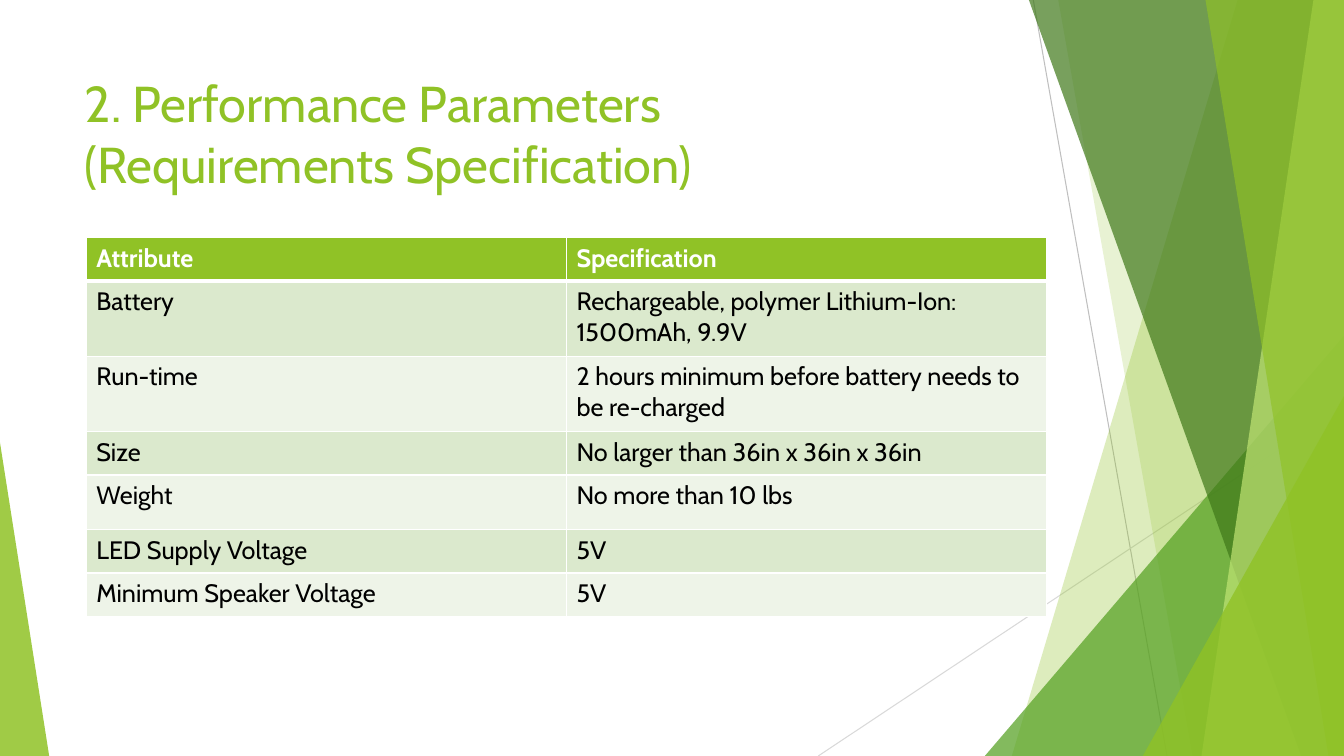
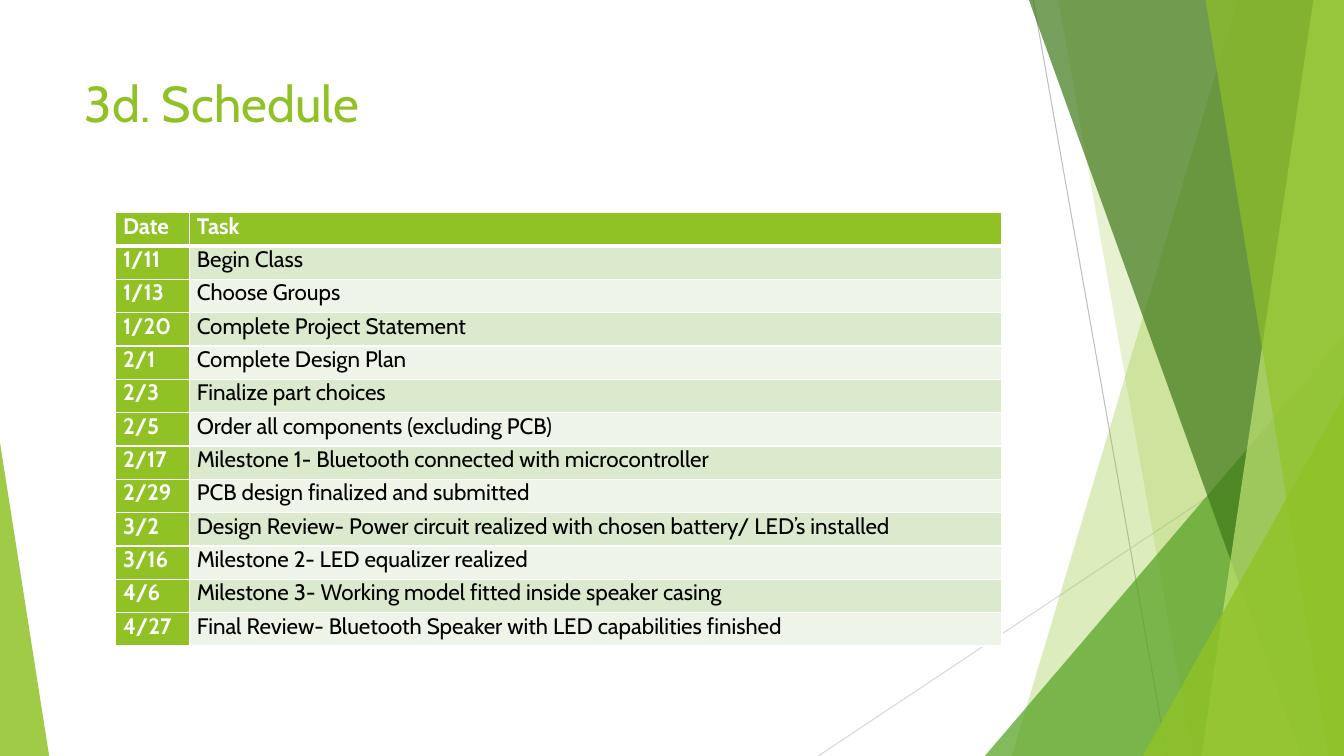
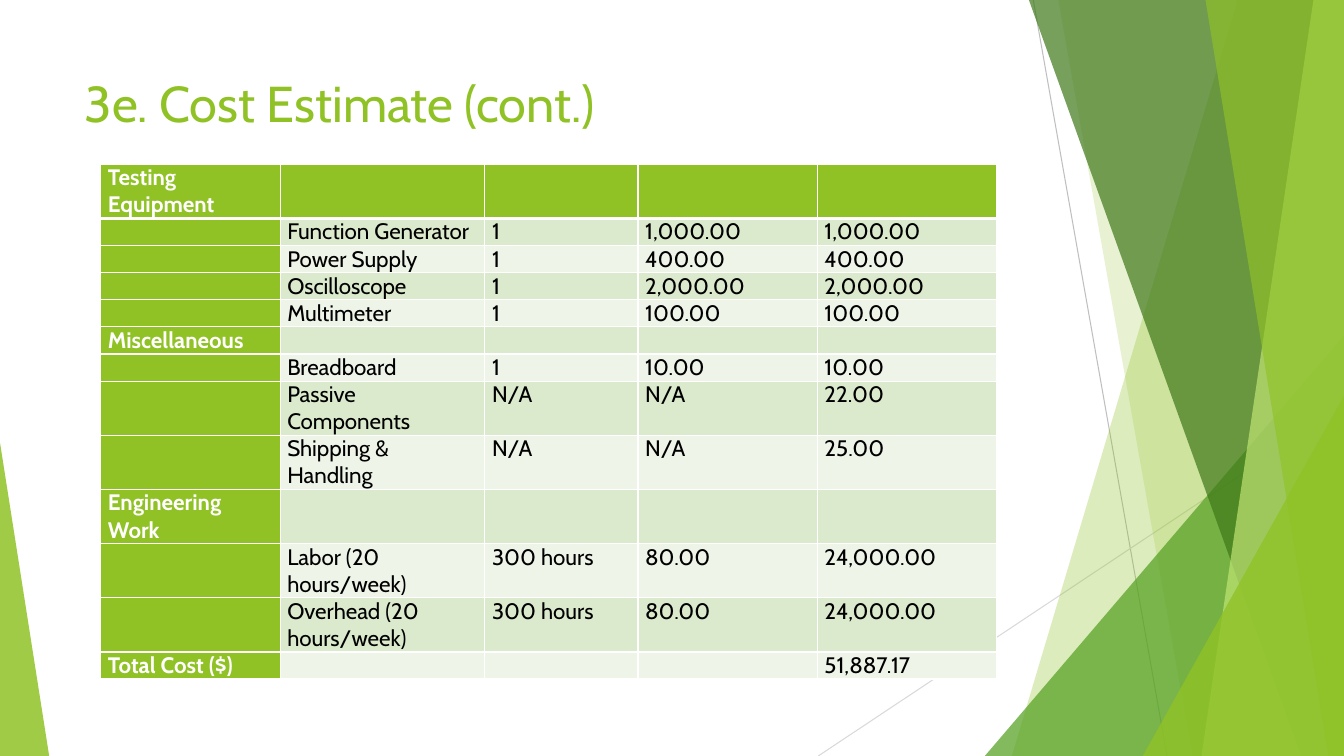
from dataclasses import dataclass

from lxml.etree import SubElement
from pptx import Presentation
from pptx.dml.color import RGBColor
from pptx.enum.shapes import MSO_CONNECTOR, MSO_SHAPE
from pptx.enum.text import MSO_ANCHOR, PP_ALIGN
from pptx.oxml.ns import qn
from pptx.util import Cm, Pt

HUES = {
    "lime": "90C226", "green": "54A021", "dark": "3F7819", "pale": "C0E474",
    "odd": "DBE9CD", "even": "EEF4E8", "white": "FFFFFF", "black": "000000",
    "grey": "BFBFBF", "mist": "D9D9D9",
}
FONT = "Cabin"
WIDE, HIGH = 33.87, 19.05


@dataclass
class Ray:
    start: tuple[float, float]
    end: tuple[float, float]
    hue: str


@dataclass
class Pane:
    """Band from the top edge to the foot, open to the right edge."""
    top: float
    foot: float
    hue: str
    alpha: int


@dataclass
class Wedge:
    """Right triangle that stands on the foot of the slide."""
    left: float
    top: float
    width: float
    peak: float
    hue: str
    alpha: int


@dataclass
class Grid:
    title: str
    left: float
    top: float
    cols: list[float]
    rows: list[float]
    cells: list[list[str]]
    size: int = 16
    side: float = 0.18
    edge: float = 0
    stub: bool = True


RAYS = [
    Ray((26.04, 0), (29.41, HIGH), "grey"),
    Ray((WIDE, 10.24), (20.62, HIGH), "mist"),
]
DECOR = [
    Pane(31.19, 25.5, "lime", 30),
    Pane(26.67, 30.05, "lime", 20),
    Wedge(24.82, 8.46, 9.05, 1, "green", 72),
    Pane(25.93, 32.79, "dark", 70),
    Pane(33.1, 30.28, "pale", 70),
    Pane(30.38, 33.48, "lime", 65),
    Wedge(28.8, 9.98, 5.07, 1, "lime", 80),
    Wedge(0, 11.15, 1.24, 0, "lime", 85),
]


def rgb(hue: str) -> RGBColor:
    return RGBColor.from_string(HUES[hue])


def style(thing, form: dict) -> None:
    for name, value in form.items():
        setattr(thing, name, value)


def ink(font, size: int, hue: str, bold: bool = False) -> None:
    style(font, {"name": FONT, "size": Pt(size), "bold": bold})
    font.color.rgb = rgb(hue)


# Shared backdrop
def draw_ray(shapes, ray: Ray):
    line = shapes.add_connector(
        MSO_CONNECTOR.STRAIGHT, *(Cm(n) for n in ray.start + ray.end))
    line.line.color.rgb = rgb(ray.hue)
    line.line.width = Pt(0.75)
    SubElement(line.element.spPr, qn("a:effectLst"))
    return line


def draw_part(shapes, part: Pane | Wedge):
    if isinstance(part, Pane):
        pen = shapes.build_freeform(Cm(part.top), Cm(0))
        pen.add_line_segments([
            (Cm(WIDE), Cm(0)), (Cm(WIDE), Cm(HIGH)), (Cm(part.foot), Cm(HIGH))])
        shape = pen.convert_to_shape()
    else:
        shape = shapes.add_shape(
            MSO_SHAPE.ISOSCELES_TRIANGLE, Cm(part.left), Cm(part.top),
            Cm(part.width), Cm(HIGH - part.top))
        shape.adjustments[0] = part.peak
    shape.shadow.inherit = False
    shape.line.fill.background()
    shape.fill.solid()
    shape.fill.fore_color.rgb = rgb(part.hue)
    tint = next(shape.element.spPr.iter(qn("a:srgbClr")))
    SubElement(tint, qn("a:alpha"), val=str(part.alpha * 1000))
    return shape


def set_back(layout, slide) -> None:
    """Draw the backdrop, then move it behind the layout's placeholders."""
    parts = [draw_ray(slide.shapes, ray) for ray in RAYS]
    parts += [draw_part(slide.shapes, part) for part in DECOR]
    for spot, part in enumerate(parts, start=2):
        layout.shapes.element.insert(spot, part.element)


# Title and table
def add_title(slide, text: str) -> None:
    title = slide.shapes.title
    style(title, {"left": Cm(1.88), "top": Cm(1.7),
                  "width": Cm(23.88), "height": Cm(3.66)})
    frame = title.text_frame
    frame.text = text
    style(frame, {"word_wrap": True, "vertical_anchor": MSO_ANCHOR.TOP})
    para = frame.paragraphs[0]
    para.alignment = PP_ALIGN.LEFT
    for run in para.runs:
        ink(run.font, 36, "lime")


def add_rules(cell, row: int) -> None:
    props = cell._tc.get_or_add_tcPr()
    for side in "LRTB":
        thick = (row, side) in [(0, "B"), (1, "T")]
        line = SubElement(props, qn(f"a:ln{side}"), w=str(Pt(3 if thick else 1)))
        fill = SubElement(line, qn("a:solidFill"))
        SubElement(fill, qn("a:srgbClr"), val=HUES["white"])


def fill_cell(cell, text: str, row: int, head: bool, grid: Grid) -> None:
    add_rules(cell, row)
    style(cell, {"margin_left": Cm(grid.side), "margin_right": Cm(grid.side),
                 "margin_top": Cm(grid.edge), "margin_bottom": Cm(grid.edge)})
    cell.fill.solid()
    cell.fill.fore_color.rgb = rgb("lime" if head else "odd" if row % 2 else "even")
    para = cell.text_frame.paragraphs[0]
    if text:
        run = para.add_run()
        run.text = text
        ink(run.font, grid.size, "white" if head else "black", head)
    else:  # keeps an empty cell as low as its row
        mark = SubElement(para._p, qn("a:endParaRPr"), sz=str(grid.size * 100))
        SubElement(mark, qn("a:latin"), typeface=FONT)


def add_grid(slide, grid: Grid) -> None:
    table = slide.shapes.add_table(
        len(grid.rows), len(grid.cols), Cm(grid.left), Cm(grid.top),
        Cm(sum(grid.cols)), Cm(sum(grid.rows))).table
    for col, width in zip(table.columns, grid.cols):
        col.width = Cm(width)
    for row, height in zip(table.rows, grid.rows):
        row.height = Cm(height)
    for i, texts in enumerate(grid.cells):
        for j, text in enumerate(texts):
            head = i == 0 or (grid.stub and j == 0)
            fill_cell(table.cell(i, j), text, i, head, grid)


# Content
SPECS = [
    ["Attribute", "Specification"],
    ["Battery", "Rechargeable, polymer Lithium-Ion: 1500mAh, 9.9V"],
    ["Run-time", "2 hours minimum before battery needs to be re-charged"],
    ["Size", "No larger than 36in x 36in x 36in"],
    ["Weight", "No more than 10 lbs"],
    ["LED Supply Voltage", "5V"],
    ["Minimum Speaker Voltage", "5V"],
]
TASKS = [
    ["Date", "Task"],
    ["1/11", "Begin Class"],
    ["1/13", "Choose Groups"],
    ["1/20", "Complete Project Statement"],
    ["2/1", "Complete Design Plan"],
    ["2/3", "Finalize part choices"],
    ["2/5", "Order all components (excluding PCB)"],
    ["2/17", "Milestone 1- Bluetooth connected with microcontroller"],
    ["2/29", "PCB design finalized and submitted"],
    ["3/2", "Design Review- Power circuit realized with chosen battery/ LED’s installed"],
    ["3/16", "Milestone 2- LED equalizer realized"],
    ["4/6", "Milestone 3- Working model fitted inside speaker casing"],
    ["4/27", "Final Review- Bluetooth Speaker with LED capabilities finished"],
]
COSTS = [
    ["Testing Equipment", "", "", "", ""],
    ["", "Function Generator", "1", "1,000.00", "1,000.00"],
    ["", "Power Supply", "1", "400.00", "400.00"],
    ["", "Oscilloscope", "1", "2,000.00", "2,000.00"],
    ["", "Multimeter", "1", "100.00", "100.00"],
    ["Miscellaneous", "", "", "", ""],
    ["", "Breadboard", "1", "10.00", "10.00"],
    ["", "Passive Components", "N/A", "N/A", "22.00"],
    ["", "Shipping & Handling", "N/A", "N/A", "25.00"],
    ["Engineering Work", "", "", "", ""],
    ["", "Labor (20 hours/week)", "300 hours", "80.00", "24,000.00"],
    ["", "Overhead (20 hours/week)", "300 hours", "80.00", "24,000.00"],
    ["Total Cost ($)", "", "", "", "51,887.17"],
]
GRIDS = [
    Grid("2. Performance Parameters\v(Requirements Specification)", 2.18, 5.99,
         [12.1] * 2, [1.09, 1.9, 1.9, 1.09, 1.38, 1.09, 1.09], SPECS,
         size=18, side=0.25, edge=0.13, stub=False),
    Grid("3d. Schedule", 2.92, 5.36, [1.86, 20.47], [0.84] * len(TASKS), TASKS),
    Grid("3e. Cost Estimate (cont.)", 2.54, 4.14, [4.52, 5.16, 3.86, 4.52, 4.52],
         [1.27] + [0.64] * 9 + [1.27] * 2 + [0.64], COSTS),
]

# Build the deck
deck = Presentation()
style(deck, {"slide_width": Cm(WIDE), "slide_height": Cm(HIGH)})
layout = deck.slide_layouts.get_by_name("Title Only")
for holder in list(layout.placeholders)[1:]:
    layout.shapes.element.remove(holder.element)

for count, grid in enumerate(GRIDS):
    slide = deck.slides.add_slide(layout)
    if count == 0:
        set_back(layout, slide)
    add_title(slide, grid.title)
    add_grid(slide, grid)

deck.save("out.pptx")
